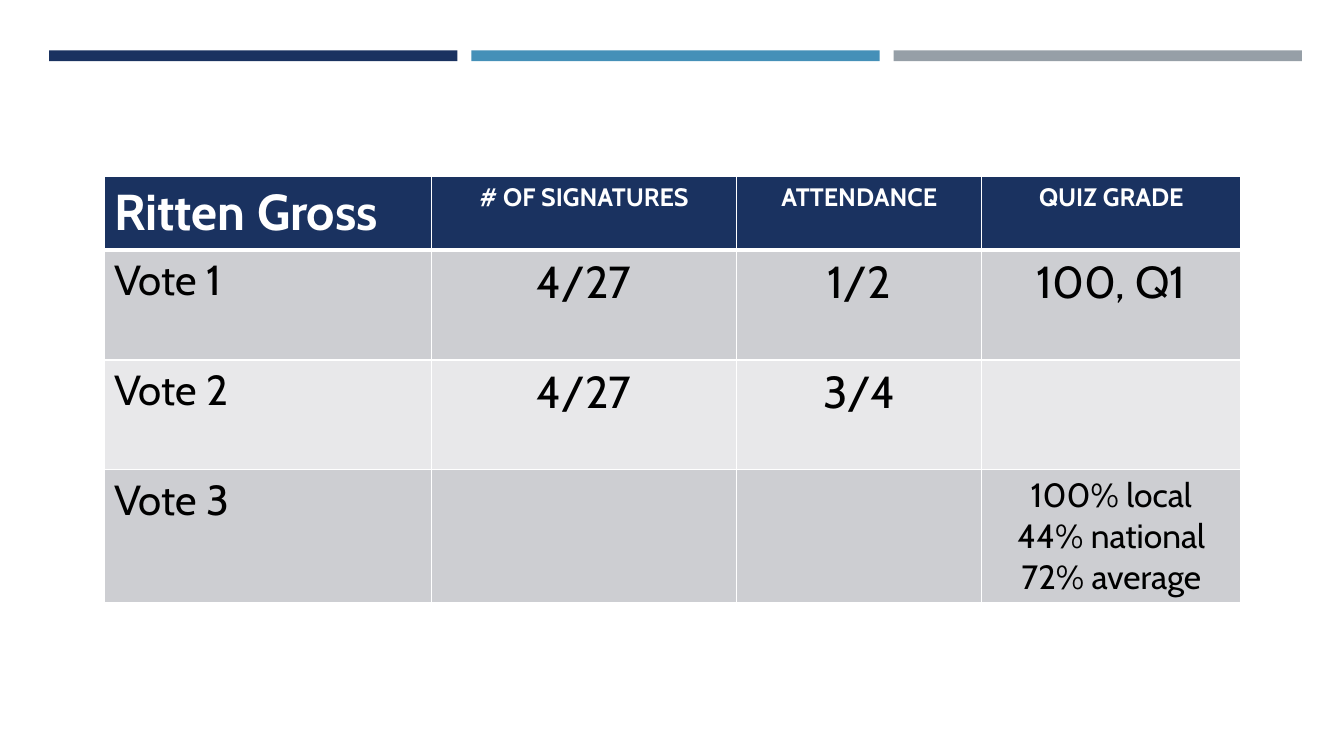
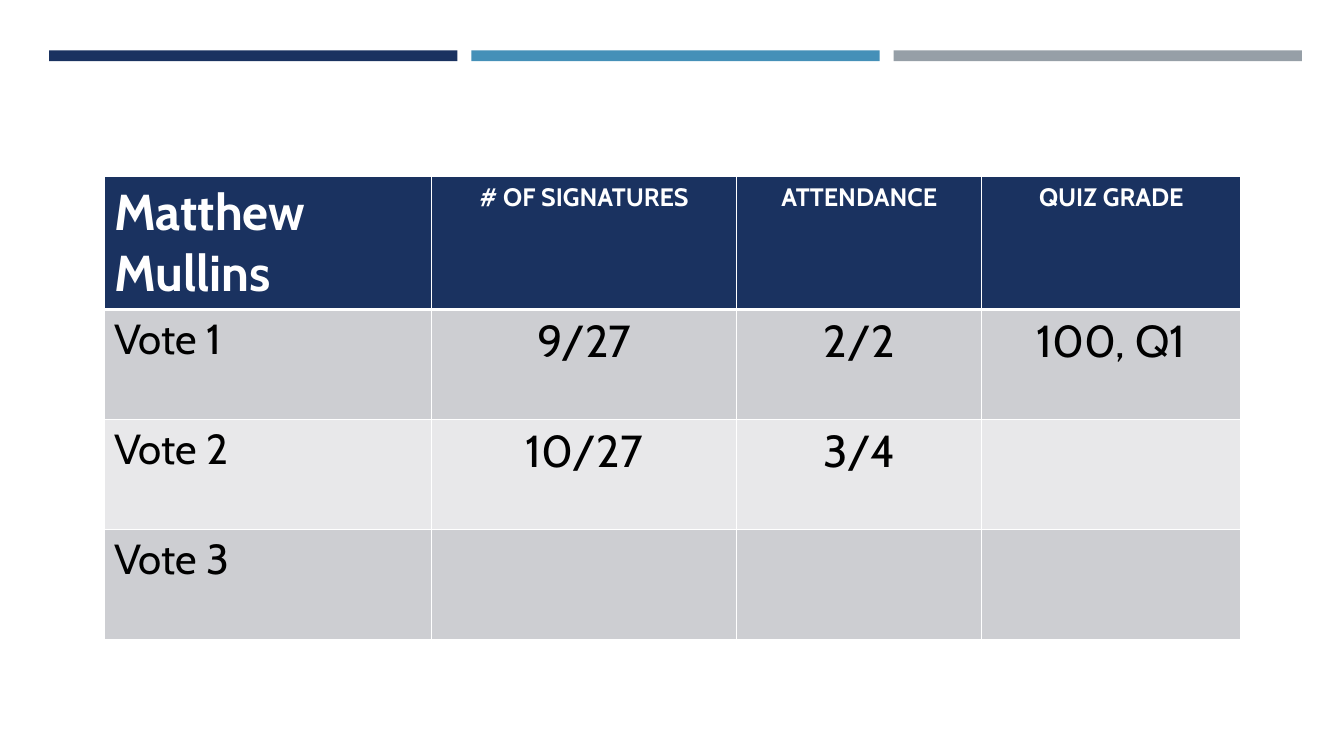
from lxml import etree
from pptx import Presentation
from pptx.dml.color import RGBColor
from pptx.enum import shapes, text
from pptx.oxml import ns
from pptx.util import Cm, Pt

NAVY = RGBColor(0x1A, 0x32, 0x60)
BLUE = RGBColor(0x45, 0x90, 0xB8)
GREY = RGBColor(0x96, 0x9F, 0xA7)
DARK_ROW = RGBColor(0xCD, 0xCE, 0xD2)
LIGHT_ROW = RGBColor(0xE8, 0xE8, 0xEA)
WHITE = RGBColor(0xFF, 0xFF, 0xFF)
BLACK = RGBColor(0, 0, 0)

COLUMN_WIDTHS = [Cm(8.25), Cm(7.7), Cm(6.17), Cm(6.53)]
HEADER_HEIGHT, ROW_HEIGHT = Cm(1.85), Cm(2.77)
HEADINGS = ["# OF SIGNATURES", "ATTENDANCE", "QUIZ GRADE"]
SCORECARDS = {
    "Ritten Gross": [
        ["4/27", "1/2", "100, Q1"],
        ["4/27", "3/4", ""],
        ["", "", "100% local\n44% national\n72% average"],
    ],
    "Matthew Mullins": [
        ["9/27", "2/2", "100, Q1"],
        ["10/27", "3/4", ""],
        ["", "", ""],
    ],
}


class Deck:
    """Hold the shared style and the slide being built."""

    font_name = "Cabin"

    def __init__(self):
        self.presentation = Presentation()
        self.presentation.slide_width = Cm(33.87)
        self.presentation.slide_height = Cm(19.05)
        self.slide = None

    def add_slide(self):
        blank_layout = self.presentation.slide_layouts[6]
        self.slide = self.presentation.slides.add_slide(blank_layout)
        for index, color in enumerate([NAVY, BLUE, GREY]):
            self.add_band(Cm(1.24 + index * 10.64), color)

    def add_band(self, left, color):
        band = self.slide.shapes.add_shape(
            shapes.MSO_SHAPE.RECTANGLE, left, Cm(1.27), Cm(10.29), Cm(0.27))
        band.shadow.inherit = False
        band.fill.solid()
        band.fill.fore_color.rgb = color
        band.line.fill.background()

    def add_scorecard(self, name, results):
        rows = [[name, *HEADINGS]]
        rows += [[f"Vote {number}", *values]
                 for number, values in enumerate(results, 1)]
        table = self.slide.shapes.add_table(
            len(rows), len(COLUMN_WIDTHS), Cm(2.62), Cm(4.45),
            sum(COLUMN_WIDTHS), HEADER_HEIGHT + ROW_HEIGHT * len(results)).table
        for column, width in zip(table.columns, COLUMN_WIDTHS):
            column.width = width
        for row_index, values in enumerate(rows):
            table.rows[row_index].height = ROW_HEIGHT if row_index else HEADER_HEIGHT
            for column_index, value in enumerate(values):
                self.fill_cell(table.cell(row_index, column_index), value,
                               row_index, column_index)

    def fill_cell(self, cell, value, row_index, column_index):
        is_header = row_index == 0
        self.set_borders(cell, top=3 if row_index == 1 else 1,
                         bottom=3 if is_header else 1)
        cell.fill.solid()
        cell.fill.fore_color.rgb = (
            NAVY if is_header else DARK_ROW if row_index % 2 else LIGHT_ROW)
        cell.text = value
        if column_index == 0:
            size = 36 if is_header else 30
        elif is_header:
            size = 18
        else:
            size = 24 if "\n" in value else 32
        for paragraph in cell.text_frame.paragraphs:
            paragraph.alignment = (
                text.PP_ALIGN.CENTER if column_index else text.PP_ALIGN.LEFT)
            paragraph.font.name = self.font_name
            paragraph.font.size = Pt(size)
            paragraph.font.bold = is_header
            paragraph.font.color.rgb = WHITE if is_header else BLACK

    def set_borders(self, cell, top, bottom):
        properties = cell._tc.get_or_add_tcPr()
        for side, width in zip("LRTB", [1, 1, top, bottom]):
            line = etree.SubElement(
                properties, ns.qn(f"a:ln{side}"), w=str(Pt(width)))
            fill = etree.SubElement(line, ns.qn("a:solidFill"))
            etree.SubElement(fill, ns.qn("a:srgbClr"), val=str(WHITE))


def main():
    deck = Deck()
    for name, results in SCORECARDS.items():
        deck.add_slide()
        deck.add_scorecard(name, results)
    deck.presentation.save("out.pptx")


if __name__ == "__main__":
    main()
